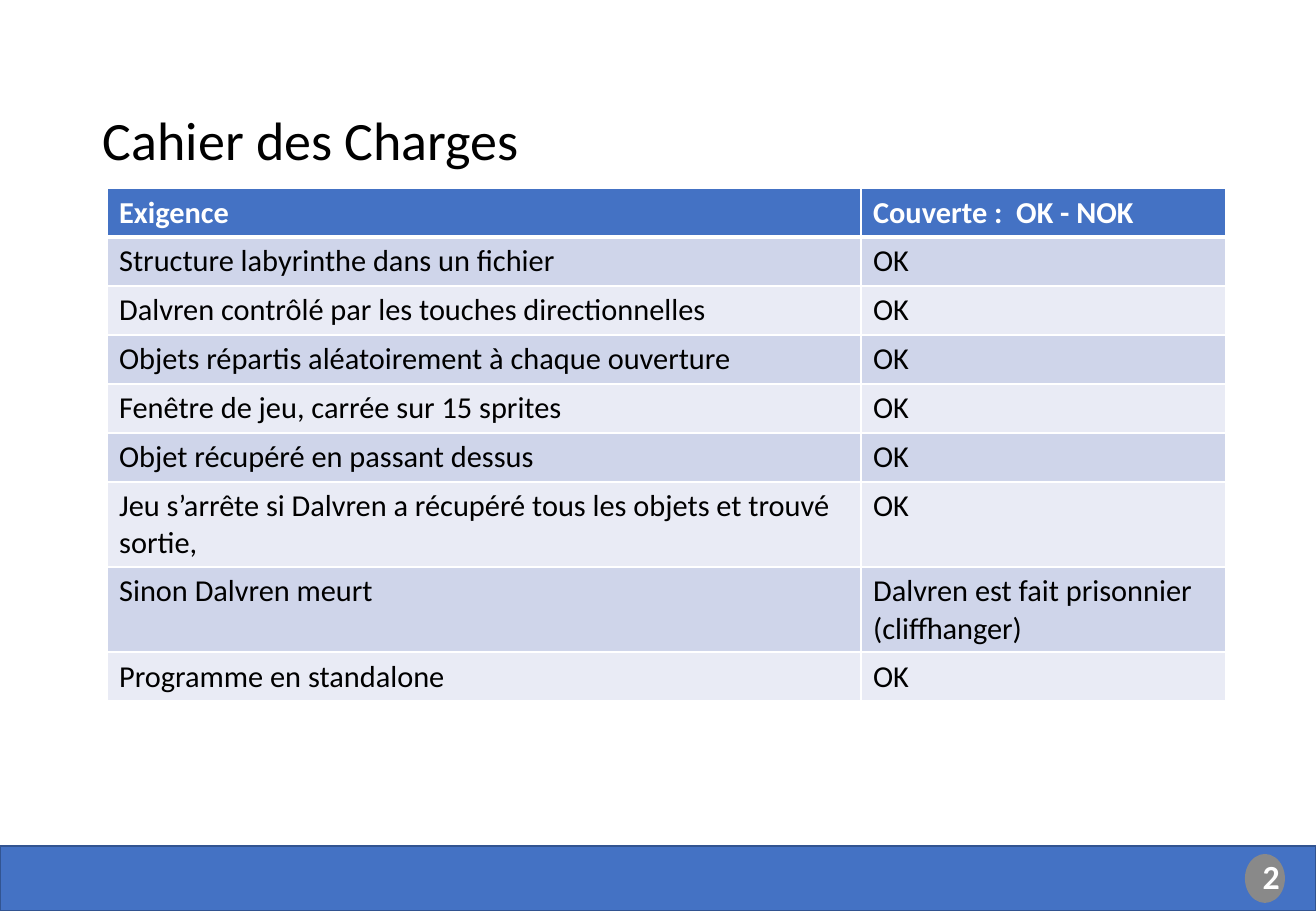
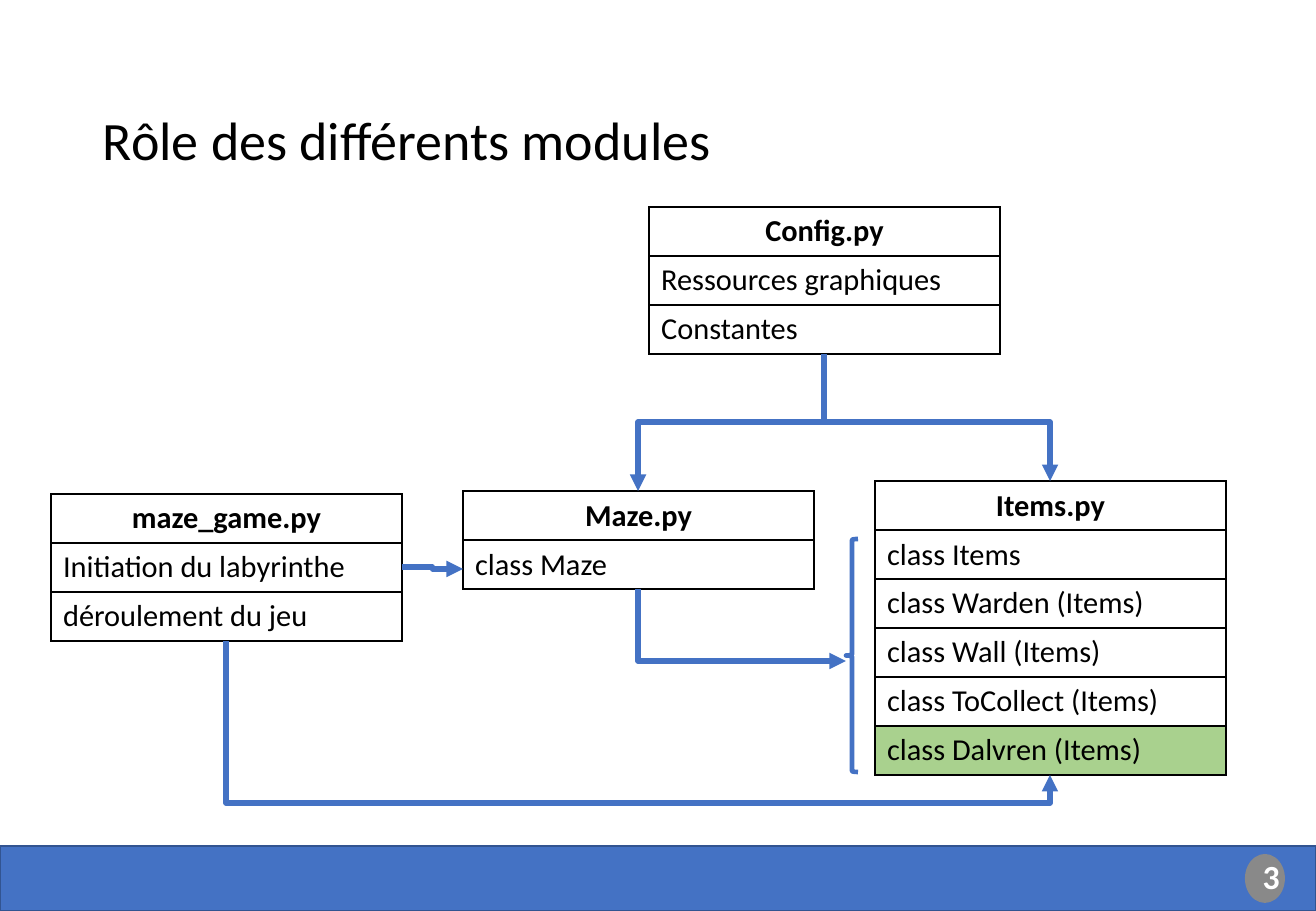
from dataclasses import dataclass

from lxml.etree import SubElement
from pptx import Presentation
from pptx.dml.color import RGBColor as RGB
from pptx.enum.shapes import MSO_CONNECTOR as CONNECTOR, MSO_SHAPE as SHAPE
from pptx.enum.text import MSO_ANCHOR as ANCHOR, PP_ALIGN as ALIGN
from pptx.oxml.ns import qn
from pptx.util import Pt

PX = 7526  # EMU per pixel, 121.5 pixels to the inch
WIDTH, HEIGHT = 1316, 911
ROW_HEIGHT = 49


@dataclass(frozen=True)
class Theme:
    font: str = "Calibri"
    title_size: int = 32
    badge_size: int = 20
    body_size: int = 18
    black: str = "000000"
    white: str = "FFFFFF"
    blue: str = "4472C4"
    dark_blue: str = "325491"
    grey: str = "898989"
    band_dark: str = "CFD5EA"
    band_light: str = "E9EBF5"
    green: str = "A9D18E"


theme = Theme()


def write_cell(cell, text, color, bold, fill, border, top=1, bottom=1):
    cell.text_frame.text = text
    font = cell.text_frame.paragraphs[0].runs[0].font
    font.name, font.size, font.bold = theme.font, Pt(theme.body_size), bold
    font.color.rgb = RGB.from_string(color)
    properties = cell._tc.get_or_add_tcPr()
    for side, points in (("L", 1), ("R", 1), ("T", top), ("B", bottom)):
        line = SubElement(properties, qn(f"a:ln{side}"), w=str(Pt(points)))
        solid = SubElement(line, qn("a:solidFill"))
        SubElement(solid, qn("a:srgbClr"), val=border)
    if fill:
        cell.fill.solid()
        cell.fill.fore_color.rgb = RGB.from_string(fill)
    else:
        cell.fill.background()


def add_arrow(slide, start, end, bend=None, vertical=True):
    """Elbow arrow; a vertical one leaves downwards and turns at height bend."""
    (x1, y1), (x2, y2) = start, end
    begin_x, begin_y, end_x, end_y = x1, y1, x2, y2
    if vertical:
        # The box is laid on its side around the same centre, then rotated
        drop = (y2 - y1) if x2 < x1 else (y1 - y2)
        span = abs(x2 - x1)
        begin_x, end_x = (x1 + x2 - drop) / 2, (x1 + x2 + drop) / 2
        begin_y, end_y = (y1 + y2 - span) / 2, (y1 + y2 + span) / 2
    arrow = slide.shapes.add_connector(
        CONNECTOR.ELBOW, *(int(n * PX) for n in (begin_x, begin_y, end_x, end_y)))
    arrow.line.color.rgb = RGB.from_string(theme.blue)
    arrow.line.width = Pt(3.25)
    SubElement(arrow.line._get_or_add_ln(), qn("a:tailEnd"), type="triangle")
    properties = arrow._element.spPr
    SubElement(properties, qn("a:effectLst"))
    if vertical:
        turn = 90 if x2 < x1 else 270
        properties.find(qn("a:xfrm")).set("rot", str(turn * 60000))
        geometry = properties.find(qn("a:prstGeom"))
        if bend is None:
            geometry.set("prst", "bentConnector2")
        else:
            ratio = round((bend - y1) / (y2 - y1) * 100000)
            SubElement(geometry.find(qn("a:avLst")), qn("a:gd"),
                       name="adj1", fmla=f"val {ratio}")


presentation = Presentation()
presentation.slide_width, presentation.slide_height = WIDTH * PX, HEIGHT * PX

# Shared title, footer band and number badge
slides = []
for number, title in enumerate(("Cahier des Charges", "Rôle des différents modules"), 2):
    slide = presentation.slides.add_slide(presentation.slide_layouts[6])
    slides.append(slide)

    title_box = slide.shapes.add_textbox(91 * PX, 63 * PX, 694 * PX, 115 * PX)
    band = slide.shapes.add_shape(SHAPE.RECTANGLE, 0, 846 * PX, WIDTH * PX, 65 * PX)
    badge = slide.shapes.add_shape(SHAPE.OVAL, 1245 * PX, 854 * PX, 40 * PX, 49 * PX)
    for shape, color in ((band, theme.blue), (badge, theme.grey)):
        shape.shadow.inherit = False
        shape.fill.solid()
        shape.fill.fore_color.rgb = RGB.from_string(color)
    band.line.color.rgb = RGB.from_string(theme.dark_blue)
    band.line.width = Pt(1)
    badge.line.fill.background()

    for shape, text, size, color, bold, anchor, align in (
        (title_box, title, theme.title_size, theme.black, False, ANCHOR.BOTTOM, ALIGN.LEFT),
        (badge, str(number), theme.badge_size, theme.white, True, ANCHOR.MIDDLE, ALIGN.CENTER),
    ):
        frame = shape.text_frame
        frame.word_wrap, frame.vertical_anchor = True, anchor
        frame.text = text
        paragraph = frame.paragraphs[0]
        paragraph.alignment, paragraph.line_spacing = align, 0.9
        font = paragraph.runs[0].font
        font.name, font.size, font.bold = theme.font, Pt(size), bold
        font.color.rgb = RGB.from_string(color)
    badge.text_frame.paragraphs[0].space_after = Pt(6)

requirements_slide, modules_slide = slides

# Requirements table
requirements = [
    ("Exigence", "Couverte :  OK - NOK"),
    ("Structure labyrinthe dans un fichier", "OK"),
    ("Dalvren contrôlé par les touches directionnelles", "OK"),
    ("Objets répartis aléatoirement à chaque ouverture", "OK"),
    ("Fenêtre de jeu, carrée sur 15 sprites", "OK"),
    ("Objet récupéré en passant dessus", "OK"),
    ("Jeu s’arrête si Dalvren a récupéré tous les objets et trouvé sortie,", "OK"),
    ("Sinon Dalvren meurt", "Dalvren est fait prisonnier (cliffhanger)"),
    ("Programme en standalone", "OK"),
]
column_widths = (754, 365)
table = requirements_slide.shapes.add_table(
    len(requirements), 2, 107 * PX, 188 * PX,
    sum(column_widths) * PX, len(requirements) * ROW_HEIGHT * PX).table
for column, width in zip(table.columns, column_widths):
    column.width = width * PX
for row, texts in enumerate(requirements):
    header = row == 0
    band_fill = theme.band_dark if row % 2 else theme.band_light
    for column, text in enumerate(texts):
        write_cell(table.cell(row, column), text,
                   theme.white if header else theme.black, header,
                   theme.blue if header else band_fill, theme.white,
                   top=3 if row == 1 else 1, bottom=3 if header else 1)

# Module tables: left, top, header and contents
MODULE_WIDTH = 351
modules = [
    (51, 494, ["maze_game.py", "Initiation du labyrinthe", "déroulement du jeu"]),
    (463, 491, ["Maze.py", "class Maze"]),
    (875, 481, ["Items.py", "class Items", "class Warden (Items)", "class Wall (Items)",
                "class ToCollect (Items)", "class Dalvren (Items)"]),
    (649, 207, ["Config.py", "Ressources graphiques", "Constantes"]),
]
tops, bottoms = {}, {}
for left, top, texts in modules:
    height = len(texts) * ROW_HEIGHT
    table = modules_slide.shapes.add_table(
        len(texts), 1, left * PX, top * PX, MODULE_WIDTH * PX, height * PX).table
    table.first_row = table.horz_banding = False
    for row, text in enumerate(texts):
        cell = table.cell(row, 0)
        fill = theme.green if text == "class Dalvren (Items)" else None
        write_cell(cell, text, theme.black, row == 0, fill, theme.black)
    table.cell(0, 0).text_frame.paragraphs[0].alignment = ALIGN.CENTER
    center = left + MODULE_WIDTH // 2
    tops[texts[0]] = (center, top)
    bottoms[texts[0]] = (center, top + height)

# Brace around the item classes
brace = modules_slide.shapes.add_shape(
    SHAPE.LEFT_BRACE, 846 * PX, 539 * PX, 12 * PX, 233 * PX)
brace.shadow.inherit = False
brace.fill.background()
brace.line.color.rgb = RGB.from_string(theme.blue)
brace.line.width = Pt(2.75)

# Dependencies between modules
add_arrow(modules_slide, bottoms["Config.py"], tops["Maze.py"], bend=422)
add_arrow(modules_slide, bottoms["Config.py"], tops["Items.py"], bend=422)
add_arrow(modules_slide, (402, 567), (463, 569), vertical=False)
add_arrow(modules_slide, bottoms["Maze.py"], (846, 661))
add_arrow(modules_slide, bottoms["maze_game.py"], bottoms["Items.py"], bend=803)

presentation.save("out.pptx")
